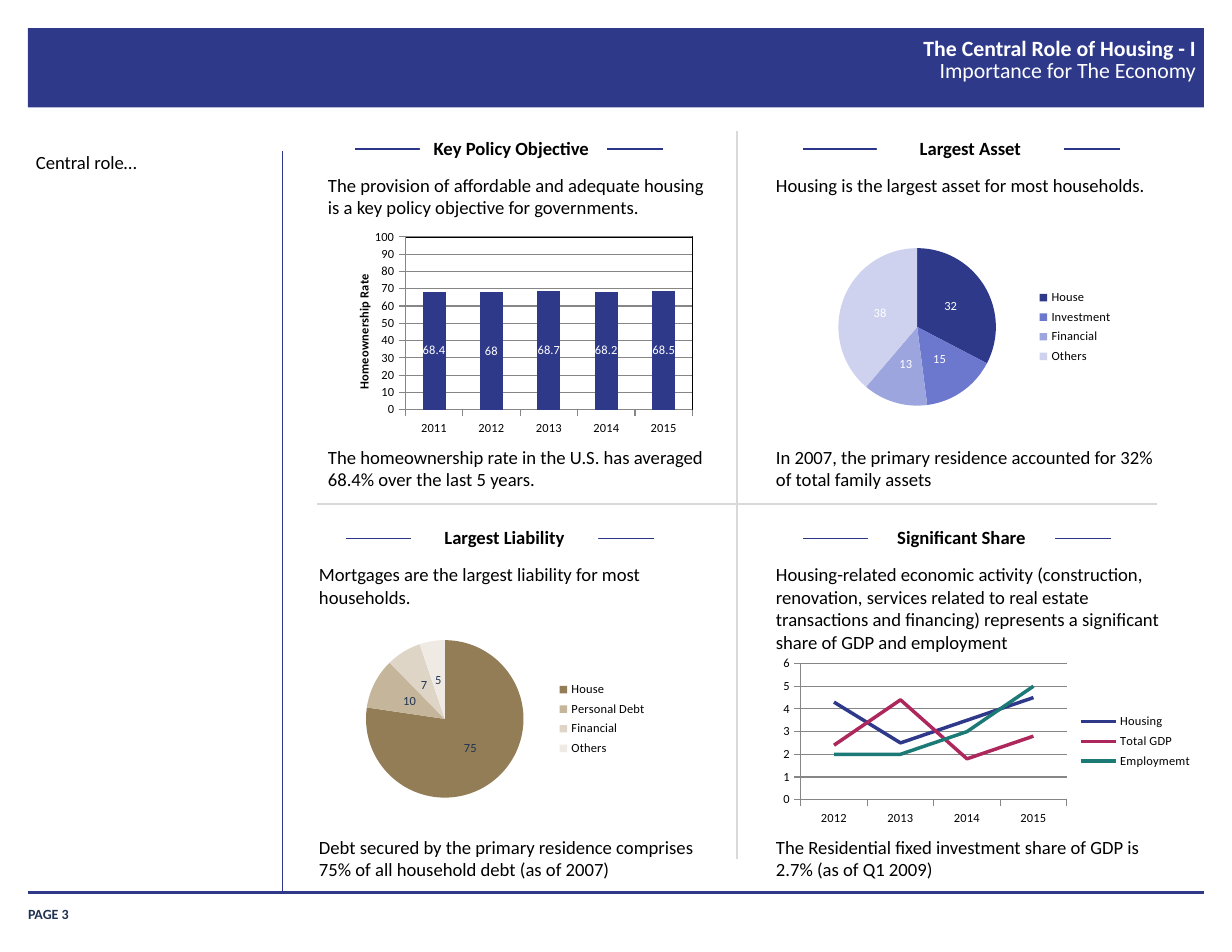
from lxml import etree
from pptx import Presentation
from pptx.chart.data import CategoryChartData
from pptx.dml.color import RGBColor
from pptx.enum import chart as ch, shapes, text
from pptx.oxml import parse_xml
from pptx.oxml.ns import nsdecls, qn
from pptx.util import Inches, Pt

HUE = {"navy": "2E398A", "rule": "2B3689", "grid": "D9D9D9", "ink": "000000",
       "page": "203353", "white": "FFFFFF", "axis": "868686",
       "red": "AD275C", "teal": "1B7A76"}
BLUES = ["2E398A", "6C78CE", "9DA5DE", "CED2EF"]
TANS = ["937D57", "C4B59B", "DED5C7", "EFEBE4"]
FACE = "Calibri"
PIE = ch.XL_CHART_TYPE.PIE


def rgb(hue):
    return RGBColor.from_string(HUE.get(hue, hue))


def style(font, size, hue, bold=False):
    font.name, font.size, font.bold = FACE, Pt(size), bold
    font.color.rgb = rgb(hue)


def rule(slide, x1, y1, x2, y2, hue, width):
    line = slide.shapes.add_connector(
        shapes.MSO_CONNECTOR.STRAIGHT, *map(Inches, (x1, y1, x2, y2)))
    line.line.color.rgb = rgb(hue)
    line.line.width = Pt(width)
    etree.SubElement(line._element.spPr, qn("a:effectLst"))


def block(slide, box, hue):
    rect = slide.shapes.add_shape(shapes.MSO_SHAPE.RECTANGLE, *map(Inches, box))
    rect.shadow.inherit = False
    rect.fill.solid()
    rect.fill.fore_color.rgb = rgb(hue)
    rect.line.fill.background()
    return rect


def write(shape, words, size=12, hue="ink", bold=False, align="LEFT",
          anchor="TOP", inset=None, space=None):
    frame = shape.text_frame
    frame.word_wrap = True
    frame.vertical_anchor = getattr(text.MSO_ANCHOR, anchor)
    if inset is not None:
        frame.margin_left = frame.margin_right = Inches(inset)
        frame.margin_top = frame.margin_bottom = Inches(inset)
    para = frame.paragraphs[0]
    para.alignment = getattr(text.PP_ALIGN, align)
    if space:
        para.line_spacing = space
    run = para.add_run()
    run.text = words
    style(run.font, size, hue, bold)


def label(slide, box, words, **look):
    write(slide.shapes.add_textbox(*map(Inches, box)), words, **look)


# Charts
def place(node, spot, inner=False):
    """Give a plot area or a title a fixed layout, as fractions of the chart."""
    old = node.find(qn("c:layout"))
    if old is not None:
        node.remove(old)
    target = '<c:layoutTarget val="inner"/>' if inner else ""
    modes = "".join(f'<c:{k}Mode val="edge"/>' for k in "xy")
    sizes = "".join(f'<c:{k} val="{v}"/>' for k, v in zip("xywh", spot))
    node.insert(0 if inner else 1, parse_xml(
        f'<c:layout {nsdecls("c")}><c:manualLayout>{target}{modes}{sizes}'
        '</c:manualLayout></c:layout>'))


def graph(slide, box, kind, cats, rows, plot, legend=True):
    data = CategoryChartData()
    data.categories = cats
    for name, vals in rows:
        data.add_series(name, vals)
    chart = slide.shapes.add_chart(kind, *map(Inches, box), data).chart
    style(chart.font, 8, "ink")
    chart.has_title = False
    chart.has_legend = legend
    if legend:
        chart.legend.position = ch.XL_LEGEND_POSITION.RIGHT
        chart.legend.include_in_layout = False
    chart.plots[0].vary_by_categories = kind == PIE
    place(chart._chartSpace.chart.plotArea, plot, inner=True)
    return chart


def tag(chart, hue):
    plot = chart.plots[0]
    plot.has_data_labels = True
    marks = plot.data_labels
    marks.show_value = True
    marks.position = ch.XL_LABEL_POSITION.CENTER
    style(marks.font, 8, hue)


def axes(chart, top, step):
    val = chart.value_axis
    val.minimum_scale, val.maximum_scale, val.major_unit = 0, top, step
    val.has_major_gridlines = True
    val.major_gridlines.format.line.color.rgb = rgb("axis")
    for axis in (val, chart.category_axis):
        axis.major_tick_mark = ch.XL_TICK_MARK.OUTSIDE
        axis.format.line.color.rgb = rgb("axis")
        style(axis.tick_labels.font, 8, "ink")


def bars(slide, box):
    chart = graph(slide, box, ch.XL_CHART_TYPE.COLUMN_CLUSTERED,
                  ["2011", "2012", "2013", "2014", "2015"],
                  [("Series 1", (68.4, 68, 68.7, 68.2, 68.5))],
                  (0.21, 0.06, 0.77, 0.8), legend=False)
    axes(chart, 100, 10)
    tag(chart, "white")
    chart.plots[0].gap_width = 150
    fill = chart.series[0].format.fill
    fill.solid()
    fill.fore_color.rgb = rgb("navy")
    title = chart.value_axis.axis_title
    run = title.text_frame.paragraphs[0].add_run()
    run.text = "Homeownership Rate"
    style(run.font, 8, "ink", True)
    place(title._element, (0.07, 0.22))
    chart._chartSpace.chart.plotArea.append(parse_xml(
        f'<c:spPr {nsdecls("c", "a")}><a:noFill/><a:ln w="9525"><a:solidFill>'
        f'<a:srgbClr val="{HUE["ink"]}"/></a:solidFill></a:ln></c:spPr>'))


def pie(slide, box, cats, vals, tints, hue, left):
    chart = graph(slide, box, PIE, cats, [("Series 1", vals)],
                  (left, 0.08, 0.49, 0.84))
    tag(chart, hue)
    for i, tint in enumerate(tints):
        fill = chart.series[0].points[i].format.fill
        fill.solid()
        fill.fore_color.rgb = rgb(tint)


def lines(slide, box):
    chart = graph(slide, box, ch.XL_CHART_TYPE.LINE,
                  ["2012", "2013", "2014", "2015"],
                  [("Housing", (4.3, 2.5, 3.5, 4.5)),
                   ("Total GDP", (2.4, 4.4, 1.8, 2.8)),
                   ("Employmemt", (2, 2, 3, 5))],
                  (0.06, 0.06, 0.62, 0.77))
    axes(chart, 6, 1)
    for row, hue in zip(chart.series, ("navy", "red", "teal")):
        row.smooth = False
        row.marker.style = ch.XL_MARKER_STYLE.NONE
        row.format.line.color.rgb = rgb(hue)
        row.format.line.width = Pt(2.25)


# Regions
def frame(slide):
    block(slide, (0.25, 0.25, 10.5, 0.71), "navy")
    label(slide, (0.25, 8.01, 0.91, 0.23), "PAGE 3", size=9, hue="page",
          bold=True, anchor="BOTTOM", inset=0)
    rule(slide, 0.25, 7.97, 10.75, 7.97, "navy", 2.25)
    rule(slide, 2.52, 1.35, 2.52, 7.98, "navy", 0.5)
    rule(slide, 2.83, 4.5, 10.33, 4.5, "grid", 0.75)
    rule(slide, 6.58, 1.17, 6.58, 7.67, "grid", 0.75)
    for top, words, bold in ((0.29, "The Central Role of Housing - I", True),
                             (0.48, "Importance for The Economy", False)):
        label(slide, (3.17, top, 7.51, 0.65), words, size=14, hue="white",
              bold=bold, align="RIGHT", inset=0, space=1.1)
    label(slide, (0.32, 1.35, 2.01, 6.48), "Central role…", inset=0)


def panel(slide, x, y, head, lead, foot, tall=0.5, shift=0):
    rule(slide, x + 0.34, y + 0.16, x + 3.09 + shift, y + 0.16, "rule", 0.75)
    write(block(slide, (x + 0.92 + shift, y, 1.67, 0.3), "white"), head,
          bold=True, align="CENTER")
    label(slide, (x, y + 0.33, 3.67, tall), lead)
    label(slide, (x, y + 2.76, 3.67, 0.5), foot)


def main():
    deck = Presentation()
    deck.slide_width, deck.slide_height = Inches(11), Inches(8.5)
    slide = deck.slides.add_slide(deck.slide_layouts[6])
    frame(slide)

    # Top row
    panel(slide, 2.83, 1.17, "Key Policy Objective ",
          "The provision of affordable and adequate housing is a key policy "
          "objective for governments.",
          "The homeownership rate in the U.S. has averaged 68.4% over the "
          "last 5 years.")
    bars(slide, (2.92, 2, 3.33, 1.93))
    panel(slide, 6.83, 1.17, "Largest Asset",
          "Housing is the largest asset for most households.",
          "In 2007, the primary residence accounted for 32% of total family "
          "assets", tall=0.3, shift=0.08)
    pie(slide, (7.17, 2.08, 2.87, 1.68),
        ["House", "Investment", "Financial", "Others"], (32, 15, 13, 38),
        BLUES, "white", 0.11)

    # Bottom row
    panel(slide, 2.75, 4.65, "Largest Liability",
          "Mortgages are the largest liability for most households.",
          "Debt secured by the primary residence comprises 75% of all "
          "household debt (as of 2007)")
    pie(slide, (3.01, 5.58, 2.87, 1.68),
        ["House", "Personal Debt", "Financial", "Others"], (75, 10, 7, 5),
        TANS, "page", 0.09)
    panel(slide, 6.83, 4.65, "Significant Share",
          "Housing-related economic activity (construction, renovation, "
          "services related to real estate transactions and financing) "
          "represents a significant share of GDP and employment",
          "The Residential fixed investment share of GDP is 2.7% (as of Q1 "
          "2009)", tall=0.91)
    lines(slide, (6.92, 5.83, 3.83, 1.58))
    deck.save("out.pptx")


if __name__ == "__main__":
    main()
